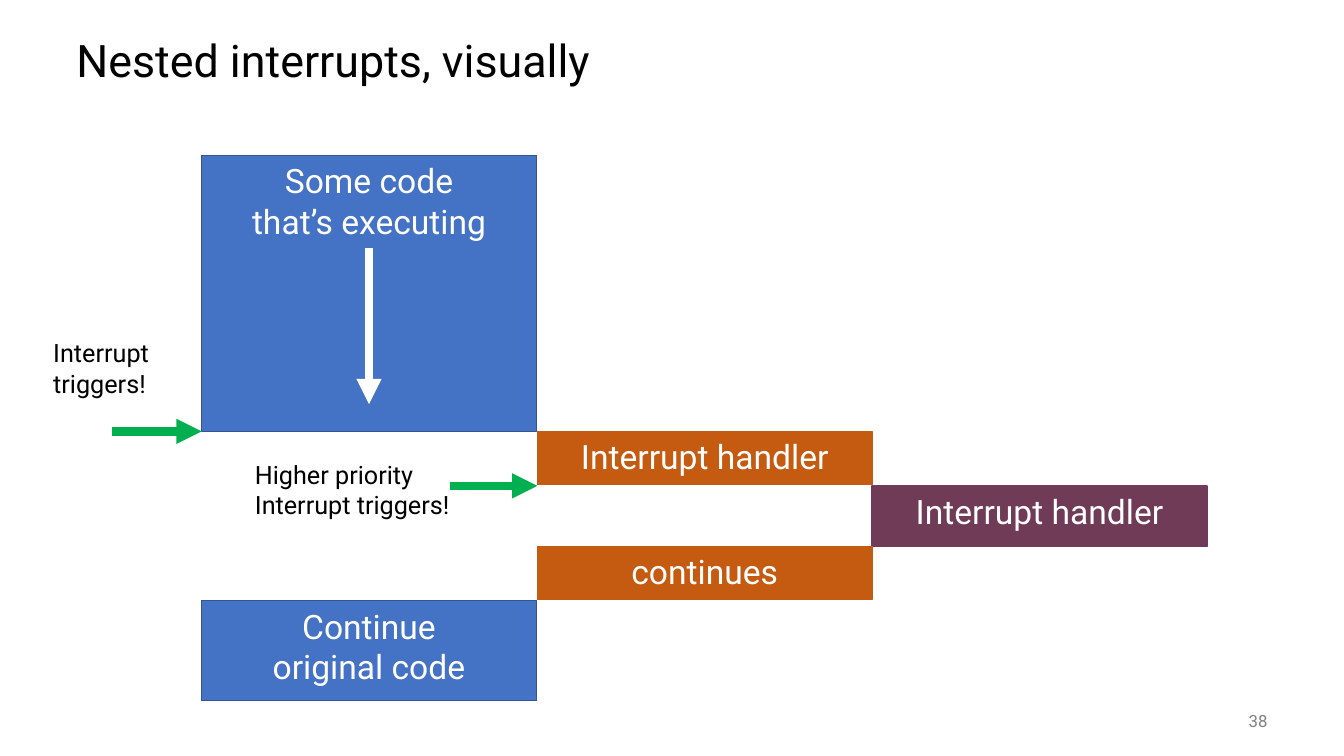
from dataclasses import dataclass

from lxml import etree
from pptx import Presentation
from pptx import util as u
from pptx.dml.color import RGBColor
from pptx.enum import shapes, text
from pptx.oxml.ns import qn
from pptx.slide import Slide
from pptx.text.text import TextFrame


@dataclass(frozen=True)
class Theme:
    font: str = "Roboto"
    black: str = "000000"
    white: str = "FFFFFF"
    gray: str = "808080"
    blue: str = "4472C4"
    blue_edge: str = "325491"
    orange: str = "C55A11"
    purple: str = "703B56"
    green: str = "00B050"
    title_size: int = 32
    block_size: int = 24
    label_size: int = 18
    number_size: int = 12


THEME = Theme()

BLOCK_WIDTH = 3.32
MAIN_LEFT, HANDLER_LEFT, NESTED_LEFT = 2, 5.33, 8.65
INTERRUPT_TOP, NESTED_TOP, RETURN_TOP, RESUME_TOP = 4.28, 4.82, 5.42, 5.96


@dataclass(frozen=True)
class Block:
    wording: str
    left: float
    top: float
    height: float
    fill: str
    edge: str


@dataclass(frozen=True)
class Label:
    wording: str
    left: float
    top: float
    width: float
    height: float
    size: int = THEME.label_size
    color: str = THEME.black
    align: text.PP_ALIGN = text.PP_ALIGN.LEFT
    anchor: text.MSO_ANCHOR = text.MSO_ANCHOR.TOP
    line_spacing: float = 1.0


@dataclass(frozen=True)
class Arrow:
    start: tuple[float, float]
    end: tuple[float, float]
    color: str


BLOCKS = [
    Block("Some code\nthat’s executing", MAIN_LEFT, 1.54, 2.74, THEME.blue, THEME.blue_edge),
    Block("Interrupt handler", HANDLER_LEFT, INTERRUPT_TOP, 0.53, THEME.orange, THEME.orange),
    Block("Interrupt handler", NESTED_LEFT, NESTED_TOP, 0.6, THEME.purple, THEME.purple),
    Block("continues", HANDLER_LEFT, RETURN_TOP, 0.53, THEME.orange, THEME.orange),
    Block("Continue\noriginal code", MAIN_LEFT, RESUME_TOP, 0.99, THEME.blue, THEME.blue_edge),
]

LABELS = [
    Label("Nested interrupts, visually", 0.66, 0.25, 12, 0.75, THEME.title_size,
          anchor=text.MSO_ANCHOR.MIDDLE, line_spacing=0.9),
    Label("Interrupt triggers!", 0.43, 3.3, 1.57, 0.71),
    Label("Higher priority\nInterrupt triggers!", 2.43, 4.51, 2.22, 0.71),
    Label("38", 11.67, 6.95, 1, 0.4, THEME.number_size, THEME.gray,
          text.PP_ALIGN.RIGHT, text.MSO_ANCHOR.MIDDLE),
]

ARROWS = [
    Arrow((3.66, 2.46), (3.66, 4.01), THEME.white),
    Arrow((1.11, INTERRUPT_TOP), (MAIN_LEFT, INTERRUPT_TOP), THEME.green),
    Arrow((4.46, NESTED_TOP), (HANDLER_LEFT, NESTED_TOP), THEME.green),
]


def write(frame: TextFrame, wording: str, size: int, color: str,
          align: text.PP_ALIGN, anchor: text.MSO_ANCHOR, line_spacing: float = 1.0) -> None:
    frame.word_wrap = True
    frame.vertical_anchor = anchor
    paragraph = frame.paragraphs[0]
    paragraph.text = wording
    paragraph.alignment = align
    paragraph.line_spacing = line_spacing
    paragraph.font.name = THEME.font
    paragraph.font.size = u.Pt(size)
    paragraph.font.color.rgb = RGBColor.from_string(color)


def add_block(slide: Slide, block: Block) -> None:
    shape = slide.shapes.add_shape(
        shapes.MSO_SHAPE.RECTANGLE, u.Inches(block.left), u.Inches(block.top),
        u.Inches(BLOCK_WIDTH), u.Inches(block.height))
    shape.shadow.inherit = False
    shape.fill.solid()
    shape.fill.fore_color.rgb = RGBColor.from_string(block.fill)
    shape.line.color.rgb = RGBColor.from_string(block.edge)
    shape.line.width = u.Pt(1)
    write(shape.text_frame, block.wording, THEME.block_size, THEME.white,
          text.PP_ALIGN.CENTER, text.MSO_ANCHOR.TOP)


def add_label(slide: Slide, label: Label) -> None:
    box = slide.shapes.add_textbox(
        u.Inches(label.left), u.Inches(label.top),
        u.Inches(label.width), u.Inches(label.height))
    write(box.text_frame, label.wording, label.size, label.color,
          label.align, label.anchor, label.line_spacing)


def add_arrow(slide: Slide, arrow: Arrow) -> None:
    connector = slide.shapes.add_connector(
        shapes.MSO_CONNECTOR.STRAIGHT,
        *(u.Inches(value) for value in arrow.start + arrow.end))
    connector.line.color.rgb = RGBColor.from_string(arrow.color)
    connector.line.width = u.Pt(6)
    properties = connector.element.spPr
    etree.SubElement(properties.find(qn("a:ln")), qn("a:tailEnd"), type="triangle")
    etree.SubElement(properties, qn("a:effectLst"))


def main() -> None:
    presentation = Presentation()
    presentation.slide_width = u.Inches(13.33)
    presentation.slide_height = u.Inches(7.5)
    slide = presentation.slides.add_slide(presentation.slide_layouts[6])
    for block in BLOCKS:
        add_block(slide, block)
    for arrow in ARROWS:
        add_arrow(slide, arrow)
    for label in LABELS:
        add_label(slide, label)
    presentation.save("out.pptx")


if __name__ == "__main__":
    main()
